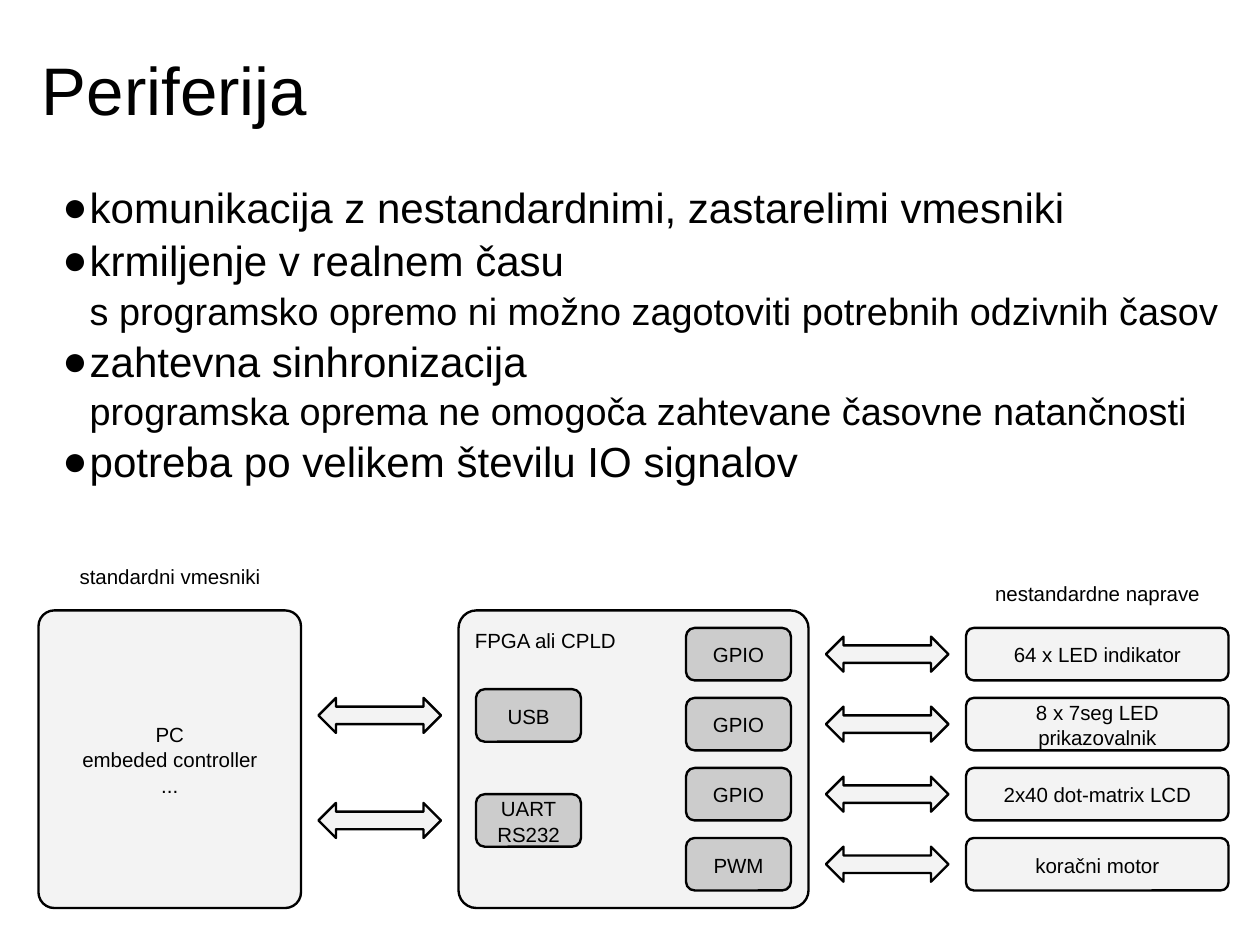
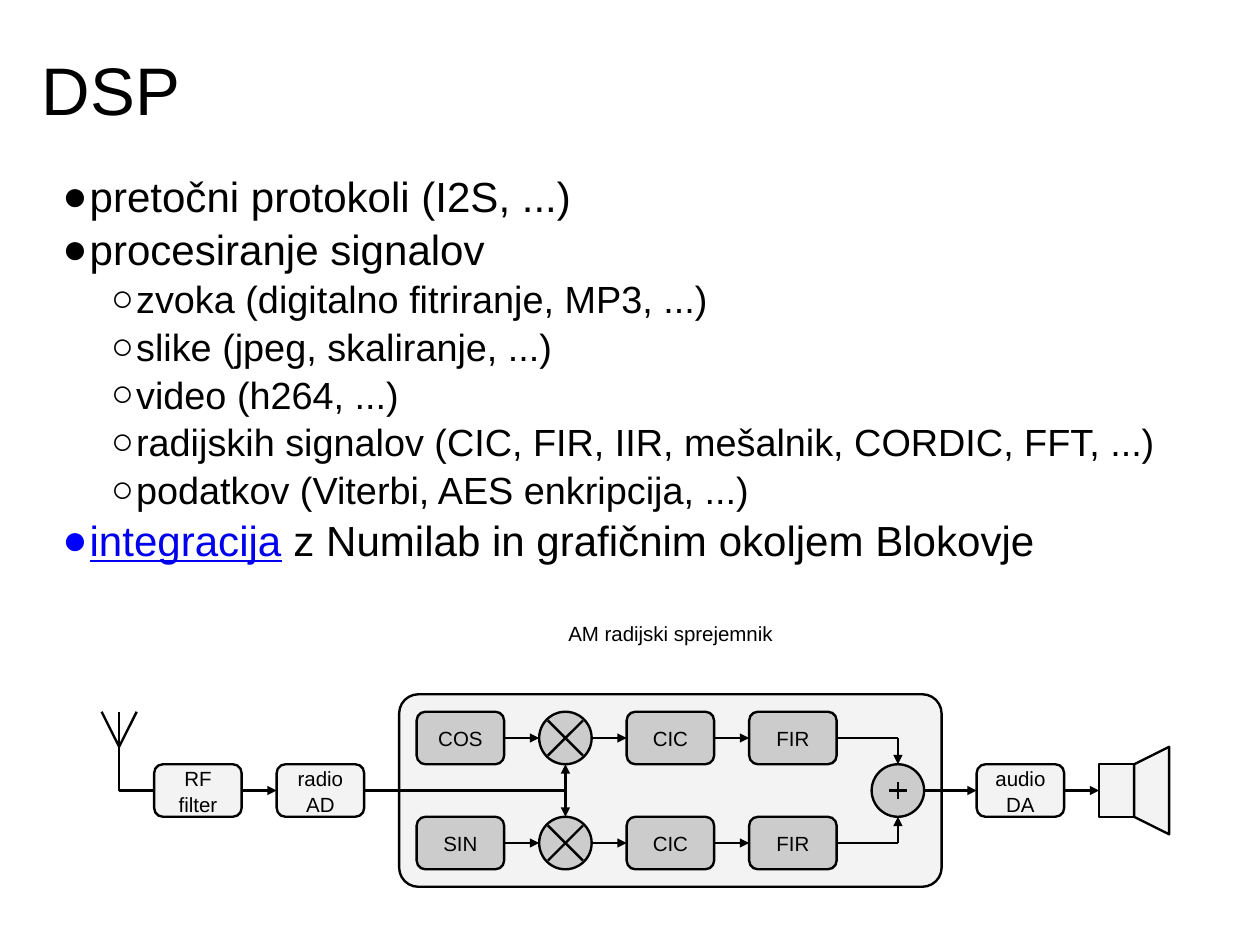
from dataclasses import dataclass

from lxml import etree
from pptx import Presentation
from pptx import util as u
from pptx.dml.color import RGBColor
from pptx.enum import shapes, text
from pptx.oxml import ns

SLIDE_WIDTH, SLIDE_HEIGHT = 11.11, 8.33
CELL = SLIDE_WIDTH / 72  # one column, and one row, in inches


@dataclass(frozen=True)
class Theme:
    font: str = "Arial"
    ink: str = "000000"
    link: str = "0000EE"
    link_bullet: str = "0000FF"
    pale: str = "F3F3F3"
    grey: str = "CCCCCC"
    title_size: float = 42.7
    body_size: float = 26.7
    detail_size: float = 24
    label_size: float = 13
    line_width: float = 1.5
    title_spacing: float = 1.08
    text_spacing: float = 1.05


THEME = Theme()
KIND = shapes.MSO_SHAPE

# Body levels: text size, indent, hanging bullet offset, bullet sign
LEVELS = {
    "point": (THEME.body_size, 0.42, -0.24, "●"),
    "detail": (THEME.detail_size, 0.42, 0, None),
    "subpoint": (THEME.detail_size, 0.83, -0.22, "○"),
}


@dataclass
class Grid:
    """A slide with a grid whose origin is given in columns and rows."""
    slide: object
    left: float = 0
    top: float = 0

    def point(self, column, row):
        return (u.Inches((self.left + column) * CELL),
                u.Inches((self.top + row) * CELL))

    def box(self, column, row, width, height):
        return (*self.point(column, row),
                u.Inches(width * CELL), u.Inches(height * CELL))


# --- Text ---

def color(value):
    return RGBColor.from_string(value)


def add_run(paragraph, words, size, ink=THEME.ink, underline=False):
    run = paragraph.add_run()
    run.text = words
    run.font.name, run.font.size = THEME.font, u.Pt(size)
    run.font.color.rgb = color(ink)
    if underline:
        run.font.underline = True


def set_frame(shape, inset, anchor):
    frame = shape.text_frame
    frame.word_wrap = True
    frame.vertical_anchor = anchor
    frame.margin_left = frame.margin_right = u.Inches(inset)
    frame.margin_top = frame.margin_bottom = u.Inches(inset)
    return frame


def set_label(shape, words, align=text.PP_ALIGN.CENTER,
              anchor=text.MSO_ANCHOR.MIDDLE):
    paragraph = set_frame(shape, 0.1, anchor).paragraphs[0]
    paragraph.alignment = align
    paragraph.line_spacing = THEME.text_spacing
    for number, line in enumerate(words.split("\n")):
        if number:
            paragraph.add_line_break()
        add_run(paragraph, line, THEME.label_size)


def add_caption(grid, words, *box):
    set_label(grid.slide.shapes.add_textbox(*grid.box(*box)), words)


def add_title(grid, words):
    shape = grid.slide.shapes.add_textbox(*grid.box(2.14, 2.14, 68.24, 7))
    paragraph = set_frame(shape, 0.04, text.MSO_ANCHOR.TOP).paragraphs[0]
    paragraph.line_spacing = THEME.title_spacing
    add_run(paragraph, words, THEME.title_size)


def set_level(paragraph, indent, hanging, sign, ink):
    properties = paragraph._p.get_or_add_pPr()
    properties.set("marL", str(u.Inches(indent)))
    properties.set("indent", str(u.Inches(hanging)))
    if sign is None:
        etree.SubElement(properties, ns.qn("a:buNone"))
        return
    bullet_color = etree.SubElement(properties, ns.qn("a:buClr"))
    etree.SubElement(bullet_color, ns.qn("a:srgbClr"), val=ink)
    etree.SubElement(properties, ns.qn("a:buFont"), typeface=THEME.font)
    etree.SubElement(properties, ns.qn("a:buChar"), char=sign)


def add_body(grid, items, *box):
    """Each item is a level, its words and, if any, leading link words."""
    shape = grid.slide.shapes.add_textbox(*grid.box(*box))
    frame = set_frame(shape, 0.04, text.MSO_ANCHOR.TOP)
    for number, (level, words, *link) in enumerate(items):
        paragraph = frame.add_paragraph() if number else frame.paragraphs[0]
        paragraph.line_spacing = THEME.text_spacing
        size, indent, hanging, sign = LEVELS[level]
        set_level(paragraph, indent, hanging, sign,
                  THEME.link_bullet if link else THEME.ink)
        for link_words in link:
            add_run(paragraph, link_words, size, THEME.link, underline=True)
        add_run(paragraph, words, size)


# --- Diagram parts ---

def add_figure(grid, kind, *box, fill=THEME.pale, adjust=None):
    shape = grid.slide.shapes.add_shape(kind, *grid.box(*box))
    shape.shadow.inherit = False
    shape.fill.solid()
    shape.fill.fore_color.rgb = color(fill)
    shape.line.color.rgb = color(THEME.ink)
    shape.line.width = u.Pt(THEME.line_width)
    if adjust is not None:
        shape.adjustments[0] = adjust
    return shape


def add_block(grid, words, *box, fill=THEME.pale, adjust=0.167):
    shape = add_figure(grid, KIND.ROUNDED_RECTANGLE, *box,
                       fill=fill, adjust=adjust)
    set_label(shape, words)


def add_line(grid, start, end, arrow=False):
    line = grid.slide.shapes.add_connector(
        shapes.MSO_CONNECTOR.STRAIGHT, *grid.point(*start), *grid.point(*end))
    line.line.color.rgb = color(THEME.ink)
    line.line.width = u.Pt(THEME.line_width)
    if arrow:
        etree.SubElement(line.line._get_or_add_ln(), ns.qn("a:tailEnd"),
                         type="triangle")
    etree.SubElement(line._element.spPr, ns.qn("a:effectLst"))


def add_double_arrow(grid, column, row):
    add_figure(grid, KIND.LEFT_RIGHT_ARROW, column, row, 7, 2)


def add_node(grid, column, row):
    add_figure(grid, KIND.OVAL, column, row, 3, 3, fill=THEME.grey)


def add_mixer(grid, column, row):
    add_node(grid, column, row)
    near, far = 0.5, 2.5
    for first, last in ((near, far), (far, near)):
        add_line(grid, (column + first, row + near),
                 (column + last, row + far))


# --- Slides ---

def new_slide(presentation, title):
    slide = presentation.slides.add_slide(presentation.slide_layouts[6])
    page = Grid(slide)
    add_title(page, title)
    return page


def build_peripherals(presentation):
    page = new_slide(presentation, "Periferija")
    add_body(page, [
        ("point", "komunikacija z nestandardnimi, zastarelimi vmesniki"),
        ("point", "krmiljenje v realnem času"),
        ("detail", "s programsko opremo ni možno zagotoviti "
                   "potrebnih odzivnih časov"),
        ("point", "zahtevna sinhronizacija"),
        ("detail", "programska oprema ne omogoča "
                   "zahtevane časovne natančnosti"),
        ("point", "potreba po velikem številu IO signalov"),
    ], 2.14, 9.98, 67.87, 21.26)

    # Computer and programmable chip
    grid = Grid(page.slide, 2.2, 34.87)
    add_caption(grid, "standardni vmesniki", 0, -3, 15, 2)
    add_block(grid, "PC\nembeded controller\n...", 0, 0, 15, 17, adjust=0.06)
    chip = add_figure(grid, KIND.ROUNDED_RECTANGLE, 24, 0, 20, 17,
                      adjust=0.06)
    set_label(chip, "FPGA ali CPLD", text.PP_ALIGN.LEFT, text.MSO_ANCHOR.TOP)
    for number, port in enumerate(("USB", "UART\nRS232")):
        row = 4.5 + 6 * number
        add_double_arrow(grid, 16, row + 0.5)
        add_block(grid, port, 25, row, 6, 3, fill=THEME.grey)

    # Output ports and their devices
    add_caption(grid, "nestandardne naprave", 53, -2, 15, 2)
    outputs = (("GPIO", "64 x LED indikator"),
               ("GPIO", "8 x 7seg LED prikazovalnik"),
               ("GPIO", "2x40 dot-matrix LCD"),
               ("PWM", "koračni motor"))
    for number, (port, device) in enumerate(outputs):
        row = 1 + 4 * number
        add_block(grid, port, 38 - 1, row, 6, 3, fill=THEME.grey)
        add_double_arrow(grid, 45, row + 0.5)
        add_block(grid, device, 53, row, 15, 3, adjust=0.15)


def build_signal_processing(presentation):
    page = new_slide(presentation, "DSP")
    add_body(page, [
        ("point", "pretočni protokoli (I2S, ...)"),
        ("point", "procesiranje signalov"),
        ("subpoint", "zvoka (digitalno fitriranje, MP3, ...)"),
        ("subpoint", "slike (jpeg, skaliranje, ...)"),
        ("subpoint", "video (h264, ...)"),
        ("subpoint", "radijskih signalov (CIC, FIR, IIR, mešalnik, "
                     "CORDIC, FFT, ...)"),
        ("subpoint", "podatkov (Viterbi, AES enkripcija, ...)"),
        ("point", " z Numilab in grafičnim okoljem Blokovje",
         "integracija"),
    ], 2.14, 9.33, 68.3, 23.85)

    # Receiver frame
    grid = Grid(page.slide, 5.81, 39.66)
    add_caption(grid, "AM radijski sprejemnik", 17, -5, 31, 3)
    add_figure(grid, KIND.ROUNDED_RECTANGLE, 17, 0, 31, 11, adjust=0.1)
    middle, mixer, adder = 5.5, 26.5, 45.5

    # Antenna and input stages
    add_line(grid, (1, 1), (1, middle))
    add_line(grid, (1, middle), (3, middle))
    for tip in (0, 2):
        add_line(grid, (tip, 1), (1, 3))
    for column, stage in ((3, "RF\nfilter"), (10, "radio\nAD"),
                          (50, "audio\nDA")):
        add_block(grid, stage, column, 4, 5, 3)
    add_line(grid, (8, middle), (10, middle), arrow=True)
    add_line(grid, (15, middle), (mixer, middle))

    # Two mirrored branches: row, edges that face the middle line
    for row, edge, oscillator in ((1, 4, "COS"), (7, 7, "SIN")):
        axis = row + 1.5
        for column, stage in ((18, oscillator), (30, "CIC"), (37, "FIR")):
            add_block(grid, stage, column, row, 5, 3, fill=THEME.grey)
        add_mixer(grid, 25, row)
        for column in (23, 28, 35):
            add_line(grid, (column, axis), (column + 2, axis), arrow=True)
        add_line(grid, (mixer, middle), (mixer, edge), arrow=True)
        add_line(grid, (42, axis), (adder, axis))
        add_line(grid, (adder, axis), (adder, edge), arrow=True)

    # Adder
    add_node(grid, 44, 4)
    add_line(grid, (adder - 0.5, middle), (adder + 0.5, middle))
    add_line(grid, (adder, middle - 0.5), (adder, middle + 0.5))

    # Output and loudspeaker
    add_line(grid, (47, middle), (50, middle), arrow=True)
    add_line(grid, (55, middle), (57, middle), arrow=True)
    add_figure(grid, KIND.RECTANGLE, 57, 4, 2, 3)
    horn = add_figure(grid, KIND.TRAPEZOID, 57.5, 4.5, 5, 2, adjust=0.5)
    horn.rotation = 270


def main():
    presentation = Presentation()
    presentation.slide_width = u.Inches(SLIDE_WIDTH)
    presentation.slide_height = u.Inches(SLIDE_HEIGHT)
    build_peripherals(presentation)
    build_signal_processing(presentation)
    presentation.save("out.pptx")


if __name__ == "__main__":
    main()
